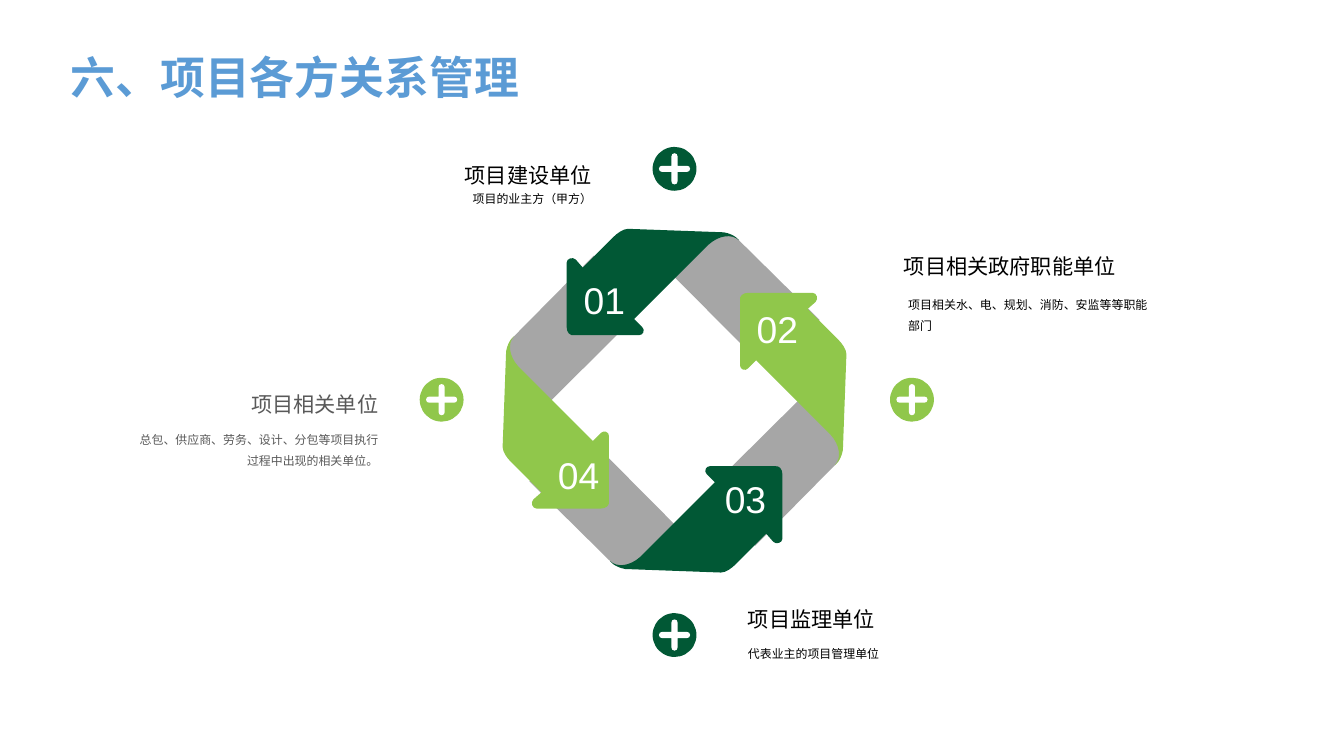
from dataclasses import dataclass

import pptx
import pptx.dml.color
import pptx.enum.shapes
import pptx.enum.text
import pptx.oxml
import pptx.oxml.ns
import pptx.util

# Grid: one column or row is a hundredth of an inch
CELL = pptx.util.Inches(0.01)
COLUMNS, ROWS = 1333, 750
CENTRE = (669, 397.5)
COLORS = {"title": "5B9BD5", "dark": "015835", "light": "90C74B", "band": "A6A6A6",
          "white": "FFFFFF", "black": "000000", "gray": "595959"}
CJK = "Noto Sans CJK SC"
ALIGN = pptx.enum.text.PP_ALIGN
SHAPE = pptx.enum.shapes.MSO_SHAPE

# Outline steps relative to a centre: two numbers are a line, six a curve
Step = tuple[float, ...]
BAND: list[Step] = [(50, -166), (-44, -167), (93, -29), (144, -80), (61, -162),
                    (56, -165, 52, -166, 50, -166)]
ARROW: list[Step] = [
    (-46, -170.5), (-51, -170.5, -57, -166, -61, -162), (-91, -132), (-98, -140),
    (-101, -143, -107, -141, -107, -137), (-107, -73),
    (-107, -68, -104, -64, -99, -65), (-35, -65),
    (-31, -65, -29, -70, -32, -73), (-40, -81), (34, -155),
    (44, -164, 57, -166, 64, -159), (64, -159, 60, -165, 49, -167)]
PLUS_ARM: list[Step] = [(-3, -3), (-3, -12.5), (-3, -14, -2, -15.5, 0, -15.5),
                        (2, -15.5, 3, -14, 3, -12.5)]


@dataclass
class Label:
    text: str
    left: float
    top: float
    width: float
    height: float
    size: float
    color: str = "black"
    font: str = CJK
    align: ALIGN = ALIGN.LEFT
    spacing: float = 1.0
    wrap: bool = False


@dataclass
class Badge:
    x: float
    y: float
    color: str


BADGES = [Badge(904.5, 396.5, "light"), Badge(438, 396.5, "light"),
          Badge(669, 167.5, "dark"), Badge(669, 630, "dark")]
NUMBERS = [Label(text, left, top, 61, 55, 26.6, "white", "Arial")
           for text, left, top in (("01", 569, 270), ("04", 543.5, 443.5),
                                   ("03", 709, 467), ("02", 740.5, 298.5))]
LABELS = NUMBERS + [
    Label("项目的业主方（甲方）", 329, 178, 268, 32, 8.5,
          align=ALIGN.RIGHT, spacing=1.5, wrap=True),
    Label("项目建设单位", 451, 143, 146, 48, 15.1, align=ALIGN.CENTER, spacing=1.5),
    Label("总包、供应商、劳务、设计、分包等项目执行过程中出现的相关单位。",
          117, 416.5, 268, 53, 8.5, "gray", "Arial", ALIGN.RIGHT, 1.5, True),
    Label("项目相关单位", 238, 383, 147, 35, 15.1, "gray", "Arial", ALIGN.RIGHT),
    Label("代表业主的项目管理单位", 732, 630, 257, 29, 8.5, spacing=1.5, wrap=True),
    Label("项目监理单位", 732, 597, 146, 35, 15.1),
    Label("项目相关水、电、规划、消防、安监等等职能部门", 891, 283, 257, 53, 8.5,
          align=ALIGN.JUSTIFY, spacing=1.5, wrap=True),
    Label("项目相关政府职能单位", 886.5, 234, 230, 48, 15.1,
          align=ALIGN.CENTER, spacing=1.5),
]
TITLE = Label("六、项目各方关系管理", 60, 44, 490, 64, 32, "title", wrap=True)


def rgb(name: str) -> pptx.dml.color.RGBColor:
    return pptx.dml.color.RGBColor.from_string(COLORS[name])


def paint(shape, color: str) -> None:
    shape.shadow.inherit = False
    shape.fill.solid()
    shape.fill.fore_color.rgb = rgb(color)
    shape.line.fill.background()


def pairs(step: Step) -> list[tuple[float, float]]:
    return list(zip(step[::2], step[1::2]))


def turn(steps: list[Step], quarters: int) -> list[Step]:
    """Rotate steps clockwise by quarter turns."""
    for _ in range(quarters):
        steps = [tuple(v for x, y in pairs(step) for v in (-y, x)) for step in steps]
    return steps


def draw_outline(page, steps: list[Step], x: float, y: float, color: str) -> None:
    placed = [((x + dx) * CELL, (y + dy) * CELL)
              for step in steps for dx, dy in pairs(step)]
    builder = page.shapes.build_freeform(*placed[0])
    builder.add_line_segments(placed[1:], close=True)
    shape = builder.convert_to_shape()
    paint(shape, color)

    # Join the three points of each curve into one Bezier segment
    qn = pptx.oxml.ns.qn
    lines = iter(list(shape._element.iter(qn("a:lnTo"))))
    for step in steps[1:]:
        first = next(lines)
        if len(step) == 6:
            first.tag = qn("a:cubicBezTo")
            for line in (next(lines), next(lines)):
                first.append(line[0])
                line.getparent().remove(line)


def draw_badge(page, badge: Badge, radius: float = 21.75) -> None:
    disc = page.shapes.add_shape(SHAPE.OVAL, *(int(v * CELL) for v in (
        badge.x - radius, badge.y - radius, 2 * radius, 2 * radius)))
    paint(disc, badge.color)
    plus = [step for quarters in range(4) for step in turn(PLUS_ARM, quarters)]
    draw_outline(page, plus, badge.x, badge.y, "white")


def write_label(box, label: Label) -> None:
    box.left, box.top, box.width, box.height = (
        int(v * CELL) for v in (label.left, label.top, label.width, label.height))
    frame = box.text_frame
    frame.word_wrap = label.wrap
    frame.auto_size = pptx.enum.text.MSO_AUTO_SIZE.NONE
    frame.vertical_anchor = pptx.enum.text.MSO_ANCHOR.MIDDLE
    frame.margin_top = frame.margin_bottom = 0
    para = frame.paragraphs[0]
    para.alignment = label.align
    para.line_spacing = label.spacing
    span = para.add_run()
    span.text = label.text
    span.font.size = pptx.util.Pt(label.size)
    span.font.name = label.font
    span.font.color.rgb = rgb(label.color)
    span.font.bold = label is TITLE
    east_asian = pptx.oxml.parse_xml(
        f'<a:ea {pptx.oxml.ns.nsdecls("a")} typeface="{CJK}"/>')
    span.font._element.find(pptx.oxml.ns.qn("a:latin")).addnext(east_asian)


def main() -> None:
    deck = pptx.Presentation()
    deck.slide_width, deck.slide_height = COLUMNS * CELL, ROWS * CELL
    page = deck.slides.add_slide(deck.slide_layouts[5])

    # Title
    write_label(page.shapes.title, TITLE)

    # Plus badges around the ring
    for badge in BADGES:
        draw_badge(page, badge)

    # Ring: gray bands below, arrows above, each a quarter turn further
    for outline, colors in ((BAND, ("band", "band")), (ARROW, ("dark", "light"))):
        for quarters in range(4):
            draw_outline(page, turn(outline, quarters), *CENTRE, colors[quarters % 2])

    # Numbers and captions
    for label in LABELS:
        write_label(page.shapes.add_textbox(0, 0, 0, 0), label)

    deck.save("out.pptx")


if __name__ == "__main__":
    main()
